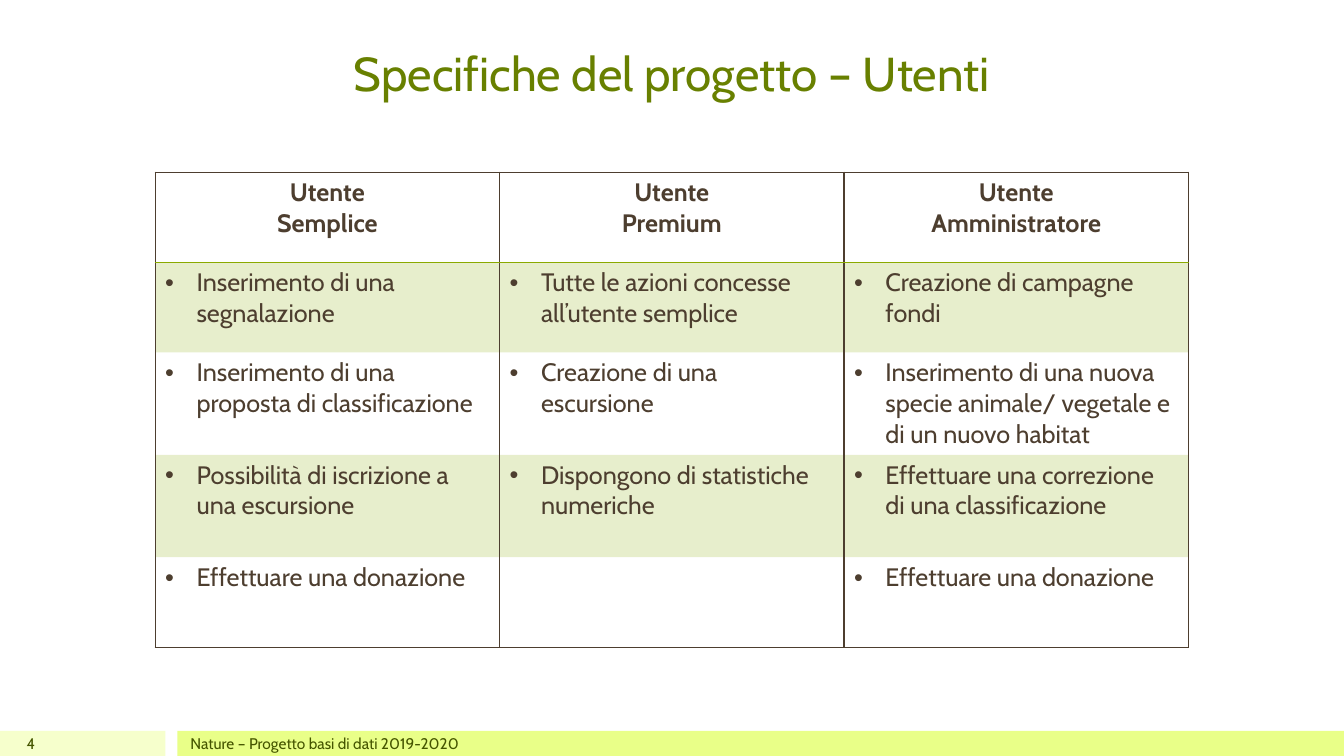
from dataclasses import dataclass

from lxml import etree
from pptx import Presentation
from pptx.dml.color import RGBColor
from pptx.enum.shapes import MSO_SHAPE
from pptx.enum.text import MSO_ANCHOR, PP_ALIGN
from pptx.oxml.ns import qn
from pptx.util import Cm, Pt

RECTANGLE = MSO_SHAPE.RECTANGLE
TOP, MIDDLE = MSO_ANCHOR.TOP, MSO_ANCHOR.MIDDLE
LEFT, CENTER, RIGHT = PP_ALIGN.LEFT, PP_ALIGN.CENTER, PP_ALIGN.RIGHT


@dataclass(frozen=True)
class Theme:
    font: str = "Cabin"
    title: str = "688000"
    body: str = "4D3E2F"
    accent: str = "8BAA00"
    footer: str = "455500"
    number_band: str = "F6FFCC"
    footer_band: str = "E9FF88"
    title_size: int = 34
    body_size: int = 18
    footer_size: int = 11


THEME = Theme()
BAND_OPACITY = 20
BULLET_INDENT = Cm(0.79)
COLUMN_WIDTH = 8.68
ROW_HEIGHTS = [2.27, 2.27, 2.58, 2.58, 2.27]
HEADERS = ["Utente\nSemplice", "Utente\nPremium", "Utente\nAmministratore"]
ACTIONS = [
    ["Inserimento di una segnalazione",
     "Tutte le azioni concesse all’utente semplice",
     "Creazione di campagne fondi"],
    ["Inserimento di una proposta di classificazione",
     "Creazione di una escursione",
     "Inserimento di una nuova specie animale/ vegetale e di un nuovo habitat"],
    ["Possibilità di iscrizione a una escursione",
     "Dispongono di statistiche numeriche",
     "Effettuare una correzione di una classificazione"],
    ["Effettuare una donazione", "", "Effettuare una donazione"],
]


def write_text(text_frame, text, size, color, align=LEFT, bold=False):
    text_frame.text = text
    for paragraph in text_frame.paragraphs:
        paragraph.alignment = align
        for run in paragraph.runs:
            run.font.name = THEME.font
            run.font.size = Pt(size)
            run.font.bold = bold
            run.font.color.rgb = RGBColor.from_string(color)


def add_text(slide, box, text, size, color, align, anchor, top_inset=0):
    shape = slide.shapes.add_textbox(*map(Cm, box))
    text_frame = shape.text_frame
    text_frame.word_wrap = True
    text_frame.vertical_anchor = anchor
    text_frame.margin_top = Cm(top_inset)
    text_frame.margin_bottom = 0
    write_text(text_frame, text, size, color, align)


def add_band(slide, box, color):
    shape = slide.shapes.add_shape(RECTANGLE, *map(Cm, box))
    shape.shadow.inherit = False
    shape.fill.solid()
    shape.fill.fore_color.rgb = RGBColor.from_string(color)
    shape.line.fill.background()


def set_borders(cell, top, bottom):
    """Draw the side borders, and the top and bottom ones that have a colour."""
    properties = cell._tc.get_or_add_tcPr()
    colors = {"a:lnL": THEME.body, "a:lnR": THEME.body, "a:lnT": top, "a:lnB": bottom}
    for index, (tag, color) in enumerate(colors.items()):
        line = etree.Element(qn(tag), w=str(Pt(1)))
        properties.insert(index, line)
        if color:
            fill = etree.SubElement(line, qn("a:solidFill"))
            etree.SubElement(fill, qn("a:srgbClr"), val=color)
        else:
            etree.SubElement(line, qn("a:noFill"))


def fill_cell(cell, shaded):
    if not shaded:
        cell.fill.background()
        return
    cell.fill.solid()
    cell.fill.fore_color.rgb = RGBColor.from_string(THEME.accent)
    color = cell._tc.tcPr.find(".//" + qn("a:srgbClr"))
    etree.SubElement(color, qn("a:alpha"), val=str(BAND_OPACITY * 1000))


def add_bullet(paragraph):
    properties = paragraph._p.get_or_add_pPr()
    properties.set("marL", str(BULLET_INDENT))
    properties.set("indent", str(-BULLET_INDENT))
    etree.SubElement(properties, qn("a:buFont"), typeface="Arial")
    etree.SubElement(properties, qn("a:buChar"), char="•")


def add_user_table(slide, left, top):
    rows = [HEADERS] + ACTIONS
    frame = slide.shapes.add_table(
        len(rows), len(HEADERS), Cm(left), Cm(top),
        Cm(COLUMN_WIDTH * len(HEADERS)), Cm(sum(ROW_HEIGHTS)))
    table = frame.table
    table.first_row = table.horz_banding = False
    for column in table.columns:
        column.width = Cm(COLUMN_WIDTH)
    last = len(rows) - 1
    line_above = {0: THEME.body, 1: THEME.accent}
    line_below = {0: THEME.accent, last: THEME.body}
    for row_index, texts in enumerate(rows):
        table.rows[row_index].height = Cm(ROW_HEIGHTS[row_index])
        is_header = row_index == 0
        for column_index, text in enumerate(texts):
            cell = table.cell(row_index, column_index)
            write_text(cell.text_frame, text, THEME.body_size, THEME.body,
                       CENTER if is_header else LEFT, bold=is_header)
            if text and not is_header:
                add_bullet(cell.text_frame.paragraphs[0])
            fill_cell(cell, shaded=row_index % 2 == 1)
            set_borders(cell, line_above.get(row_index), line_below.get(row_index))


def add_footer(slide, number, text):
    top, height = 18.42, 0.63
    add_band(slide, (0, top, 4.17, height), THEME.number_band)
    add_band(slide, (4.47, top, 29.4, height), THEME.footer_band)
    add_text(slide, (0, top, 1.14, height), number,
             THEME.footer_size, THEME.footer, RIGHT, MIDDLE)
    add_text(slide, (4.55, top, 25.4, height), text,
             THEME.footer_size, THEME.footer, LEFT, MIDDLE)


def main():
    presentation = Presentation()
    presentation.slide_width = Cm(33.87)
    presentation.slide_height = Cm(19.05)
    slide = presentation.slides.add_slide(presentation.slide_layouts[6])
    add_text(slide, (3.91, 0.76, 26.04, 3.28), "Specifiche del progetto – Utenti",
             THEME.title_size, THEME.title, CENTER, TOP, top_inset=0.35)
    add_user_table(slide, 3.91, 4.34)
    add_footer(slide, "4", "Nature – Progetto basi di dati 2019-2020")
    presentation.save("out.pptx")


if __name__ == "__main__":
    main()
